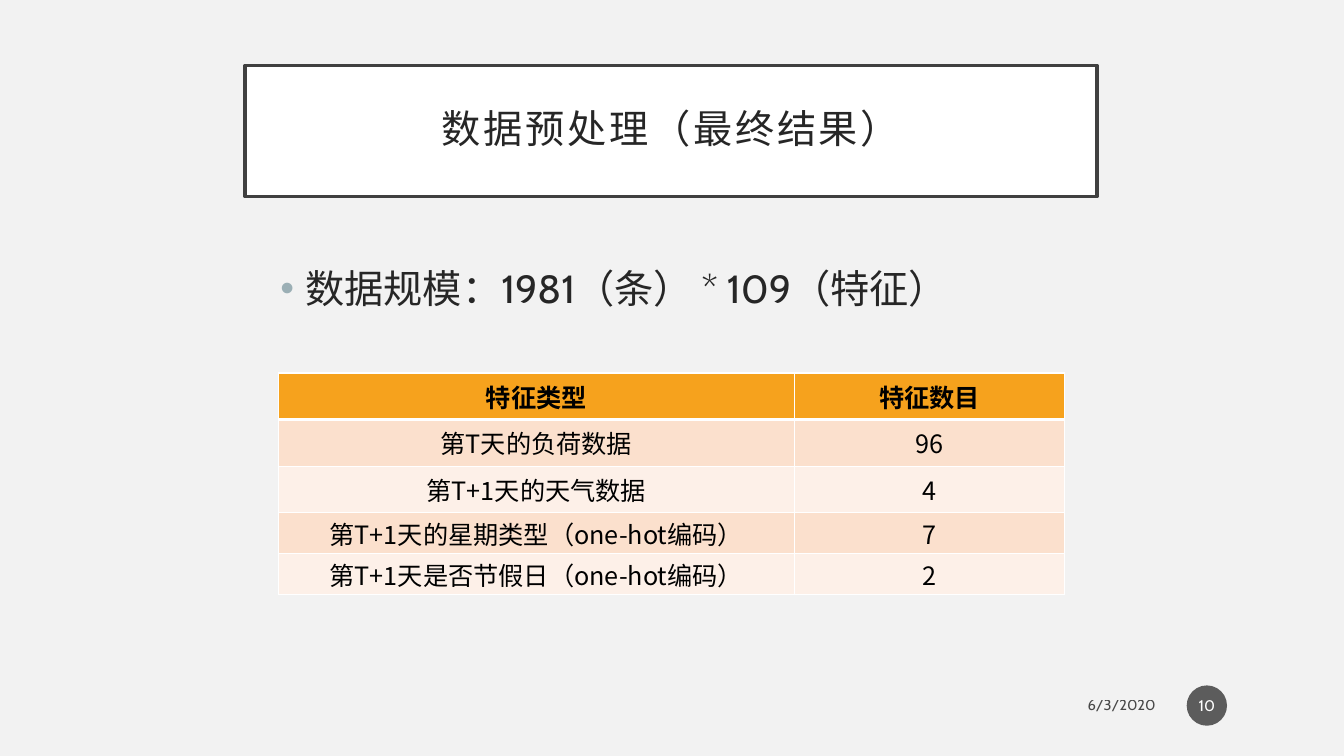
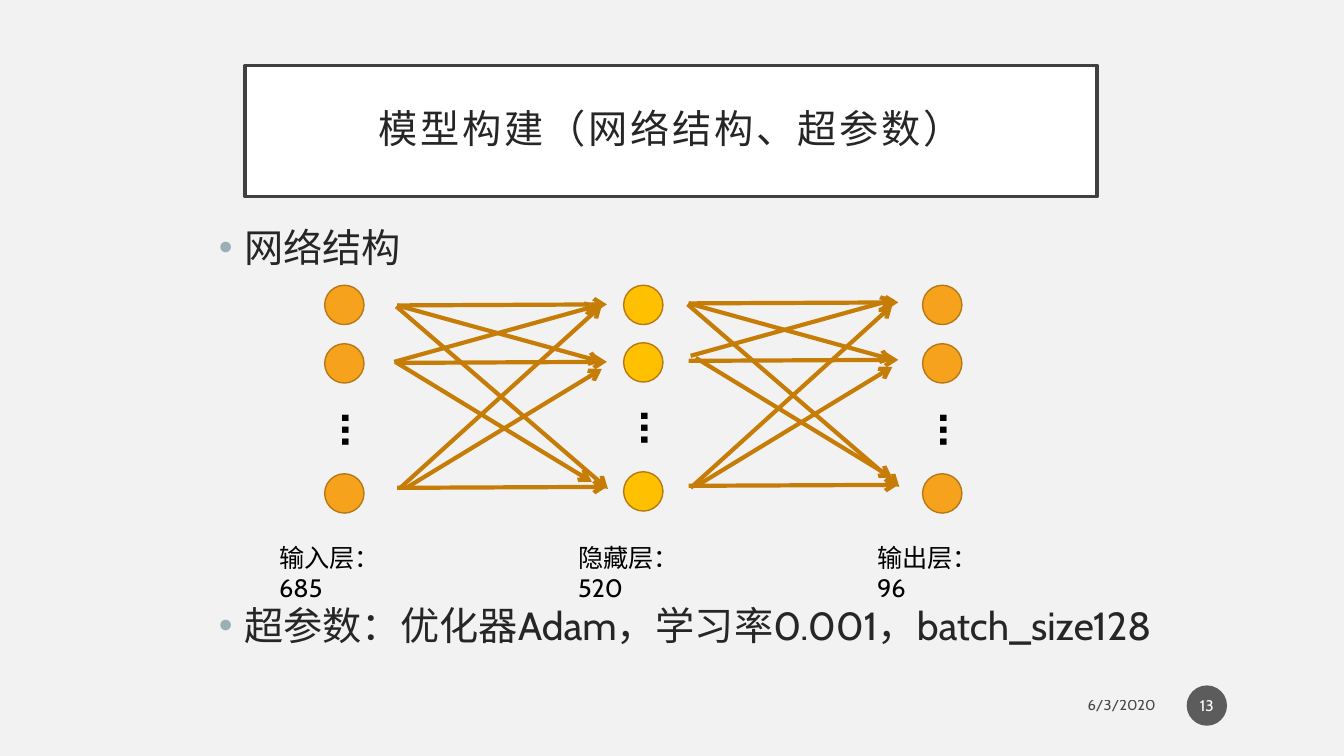
from lxml import etree
from pptx import Presentation
from pptx.dml.color import RGBColor
from pptx.enum.shapes import MSO_CONNECTOR, MSO_SHAPE
from pptx.enum.text import MSO_ANCHOR, MSO_AUTO_SIZE, PP_ALIGN
from pptx.oxml.ns import qn
from pptx.util import Inches, Pt

OVAL, STRAIGHT = MSO_SHAPE.OVAL, MSO_CONNECTOR.STRAIGHT
MIDDLE, TOP = MSO_ANCHOR.MIDDLE, MSO_ANCHOR.TOP
LEFT, CENTER, RIGHT = PP_ALIGN.LEFT, PP_ALIGN.CENTER, PP_ALIGN.RIGHT
NO_FIT = MSO_AUTO_SIZE.NONE

# Slide grid: square cells, 13.33 columns by 7.5 rows
CELL = Inches(1)
COLS, ROWS = 13.33, 7.5

LATIN, CJK = "Cabin", "Noto Sans CJK SC"
COLORS = {
    "page": "F2F2F2", "white": "FFFFFF", "black": "000000",
    "text": "262626", "frame": "404040", "bullet": "9BAFB5",
    "badge": "1D1D1D", "orange": "F6A21D", "yellow": "FFC000",
    "rim": "B67815", "arrow": "C67D08",
    "band_dark": "FBE0CD", "band_light": "FDF0E8",
}
# Font attributes by role, with the colour's name apart
STYLES = {
    "title": ("text", {"size": Pt(28), "name": LATIN}),
    "body": ("text", {"size": Pt(28), "name": LATIN}),
    "head": ("black", {"size": Pt(18), "name": LATIN, "bold": True}),
    "cell": ("black", {"size": Pt(18), "name": CJK, "bold": False}),
    "label": ("black", {"size": Pt(18), "name": LATIN}),
    "dots": ("black", {"size": Pt(36), "name": LATIN, "bold": True}),
    "date": ("black", {"size": Pt(10.5), "name": LATIN}),
    "number": ("white", {"size": Pt(11), "name": LATIN}),
}

FEATURES = [
    ("特征类型", "特征数目"),
    ("第T天的负荷数据", "96"),
    ("第T+1天的天气数据", "4"),
    ("第T+1天的星期类型（one-hot编码）", "7"),
    ("第T+1天是否节假日（one-hot编码）", "2"),
]
# Layer: label, label width, colour, rows of its nodes, row of its dots
LAYERS = [
    ("输入层：685", 1.62, "orange", (2.83, 3.41, 4.7), 3.99),
    ("隐藏层：520", 1.62, "yellow", (2.83, 3.4, 4.68), 3.97),
    ("输出层：96", 1.48, "orange", (2.83, 3.41, 4.7), 3.99),
]
LAYER_X, LAYER_STEP, NODE = 3.22, 2.965, 0.39
# Arrows of the first gap, and their shift to the second gap
STEP = (2.89, -0.02)
ARROWS = [
    ((3.94, 3.03), (6.02, 3.02), STEP),
    ((3.94, 3.03), (5.97, 3.59), STEP),
    ((3.93, 3.04), (6.03, 4.85), STEP),
    ((3.91, 3.59), (5.93, 3.03), (2.94, -0.06)),
    ((3.94, 3.6), (6.02, 3.59), STEP),
    ((3.92, 3.59), (5.87, 4.78), (2.98, -0.04)),
    ((3.97, 4.84), (5.97, 3.03), (2.88, 0)),
    ((4.03, 4.84), (5.97, 3.66), (2.88, -0.02)),
    ((3.94, 4.84), (6.02, 4.83), STEP),
]


# Basics
def grid(*cells):
    return [int(c * CELL) for c in cells]


def rgb(name):
    return RGBColor.from_string(COLORS[name])


def place(sp, at):
    sp.left, sp.top, sp.width, sp.height = grid(*at)


def set_alpha(element, percent):
    for color in element.iter(qn("a:srgbClr")):
        etree.SubElement(color, qn("a:alpha"), val=str(percent * 1000))


def write(tf, text, style, align=LEFT, anchor=TOP, insets=None):
    tf.word_wrap, tf.auto_size, tf.vertical_anchor = True, NO_FIT, anchor
    if insets:
        sides = ("margin_left", "margin_top", "margin_right", "margin_bottom")
        for side, value in zip(sides, grid(*insets)):
            setattr(tf, side, value)
    return write_run(tf.paragraphs[0], text, style, align)


def write_run(p, text, style, align):
    p.alignment = align
    r = p.add_run()
    r.text = text
    color, formats = STYLES[style]
    for key, value in formats.items():
        setattr(r.font, key, value)
    r.font.color.rgb = rgb(color)
    etree.SubElement(r.font._element, qn("a:ea"), typeface=CJK)
    return r


# Elements
def add_text(s, at, *args, **kwargs):
    sp = s.shapes.add_textbox(*grid(*at))
    return sp, write(sp.text_frame, *args, **kwargs)


def add_oval(s, at, color, rim=None):
    sp = s.shapes.add_shape(OVAL, *grid(*at))
    sp.shadow.inherit = False
    sp.fill.solid()
    sp.fill.fore_color.rgb = rgb(color)
    if rim:
        sp.line.color.rgb = rgb(rim)
        sp.line.width = Pt(1)
    else:
        sp.line.fill.background()
    return sp


def add_arrow(s, start, end):
    line = s.shapes.add_connector(STRAIGHT, *grid(*start, *end))
    line.line.color.rgb = rgb("arrow")
    line.line.width = Pt(3)
    props = line._element.spPr
    etree.SubElement(props.find(qn("a:ln")), qn("a:tailEnd"), type="arrow")
    etree.SubElement(props, qn("a:effectLst"))


def add_bullet(sp, at, text):
    place(sp, at)
    write(sp.text_frame, text, "body")
    p = sp.text_frame.paragraphs[0]
    p.level = 1
    p.space_before = Pt(10)
    props = p._p.get_or_add_pPr()
    props.set("marL", str(Inches(0.5)))
    props.set("indent", str(Inches(-0.25)))
    color = etree.SubElement(props, qn("a:buClr"))
    etree.SubElement(color, qn("a:srgbClr"), val=COLORS["bullet"])
    etree.SubElement(props, qn("a:buChar"), char="•")


def set_borders(cell, widths):
    props = cell._tc.get_or_add_tcPr()
    for i, (side, width) in enumerate(zip("LRTB", widths)):
        ln = etree.Element(qn("a:ln" + side), w=str(Pt(width)))
        fill = etree.SubElement(ln, qn("a:solidFill"))
        etree.SubElement(fill, qn("a:srgbClr"), val=COLORS["white"])
        props.insert(i, ln)


def add_features(s, at, widths):
    table = s.shapes.add_table(len(FEATURES), len(widths), *grid(*at)).table
    for column, width in zip(table.columns, grid(*widths)):
        column.width = width
    for i, row in enumerate(FEATURES):
        fill = "orange" if i == 0 else ("band_light", "band_dark")[i % 2]
        for j, text in enumerate(row):
            cell = table.cell(i, j)
            cell.fill.solid()
            cell.fill.fore_color.rgb = rgb(fill)
            cell.vertical_anchor = MIDDLE
            if i > 2:
                cell.margin_left = cell.margin_right = Inches(0.07)
                cell.margin_top = cell.margin_bottom = 0
            write_run(cell.text_frame.paragraphs[0], text,
                      "cell" if i else "head", CENTER)
            set_borders(cell, (1, 1, 3 if i == 1 else 1, 1 if i else 3))


def add_layer(s, x, label, width, color, rows, dots_row):
    for y in rows:
        add_oval(s, (x, y, NODE, NODE), color, "rim")
    sp, _ = add_text(s, (x - 0.08, dots_row, 0.81, 0.67), "…", "dots")
    sp.text_frame._txBody.bodyPr.set("vert", "eaVert")
    add_text(s, (x - 0.55, 5.33, width, 0.4), label, "label",
             insets=(0.1, 0.05, 0.3, 0.05))


# Shared frame: title box, date and page badge
def add_slide(prs, layout, title, number):
    s = prs.slides.add_slide(prs.slide_layouts[layout])
    sp = s.shapes.title
    place(sp, (2.43, 0.65, 8.45, 1.3))
    sp.fill.solid()
    sp.fill.fore_color.rgb = rgb("white")
    sp.line.color.rgb = rgb("frame")
    sp.line.width = Pt(2.5)
    r = write(sp.text_frame, title, "title", CENTER, MIDDLE, (0.2,) * 4)
    r.font._element.set("spc", "200")
    sp.text_frame.paragraphs[0].line_spacing = 0.9

    _, r = add_text(s, (8.55, 6.82, 3.01, 0.35), "6/3/2020", "date",
                    RIGHT, MIDDLE)
    set_alpha(r.font._element, 70)
    badge = add_oval(s, (11.77, 6.8, 0.4, 0.4), "badge")
    set_alpha(badge._element.spPr, 70)
    write(badge.text_frame, number, "number", CENTER, MIDDLE,
          (0.02, 0.05, 0.02, 0.05))
    return s


def data_slide(prs):
    s = add_slide(prs, 1, "数据预处理（最终结果）", "10")
    add_bullet(s.placeholders[1], (2.43, 2.57, 8.84, 4.29),
               "数据规模：1981（条） * 109（特征）")
    add_features(s, (2.76, 3.7, 7.8, 2.03), (5.12, 2.68))


def model_slide(prs):
    s = add_slide(prs, 3, "模型构建（网络结构、超参数）", "13")
    add_bullet(s.placeholders[1], (1.82, 2.17, 9.68, 3.82), "网络结构")
    add_bullet(s.placeholders[2], (1.82, 5.92, 11.51, 1.08),
               "超参数：优化器Adam，学习率0.001，batch_size128")
    for i, layer in enumerate(LAYERS):
        add_layer(s, LAYER_X + i * LAYER_STEP, *layer)
    for (x1, y1), (x2, y2), (dx, dy) in ARROWS:
        for gap in range(2):
            add_arrow(s, (x1 + gap * dx, y1 + gap * dy),
                      (x2 + gap * dx, y2 + gap * dy))


def main():
    prs = Presentation()
    prs.slide_width, prs.slide_height = grid(COLS, ROWS)
    background = prs.slide_master.background.fill
    background.solid()
    background.fore_color.rgb = rgb("page")
    data_slide(prs)
    model_slide(prs)
    prs.save("out.pptx")


main()
